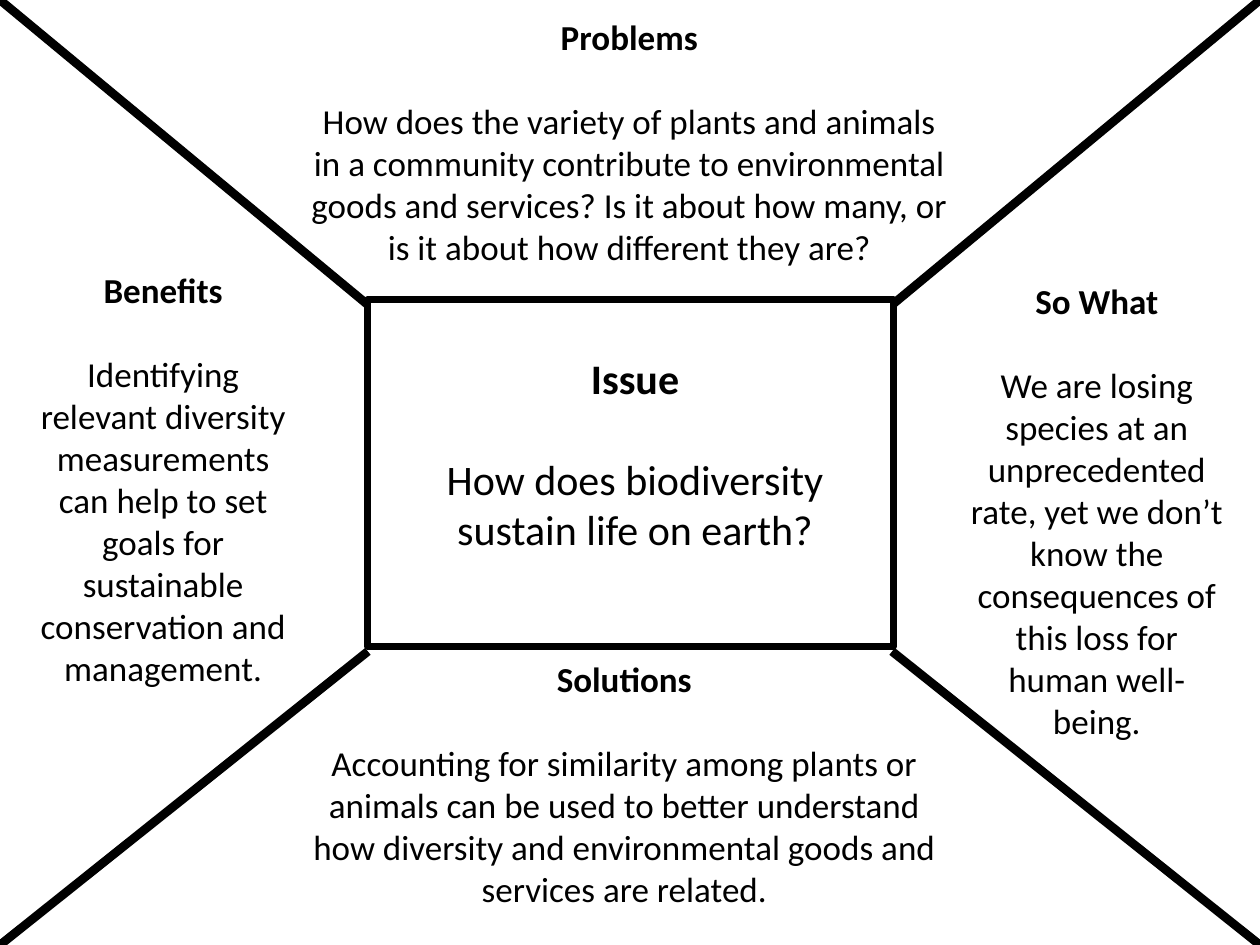
from lxml.etree import SubElement
from pptx import Presentation
from pptx.dml.color import RGBColor
from pptx.enum.shapes import MSO_CONNECTOR, MSO_SHAPE
from pptx.enum.text import MSO_AUTO_SIZE, PP_ALIGN
from pptx.oxml.ns import qn
from pptx.util import Inches, Pt

WIDTH, HEIGHT = 10, 7.5
FONT, BLACK, WHITE = "Calibri", "000000", "FFFFFF"

# Content: heading, body, (left, top, width, height), text size
SECTIONS = [
    ("Issue", "How does biodiversity sustain life on earth?",
     (3.33, 2.75, 3.42, 1.72), 24),
    ("Problems", "How does the variety of plants and animals in a community "
     "contribute to environmental goods and services? Is it about how many, "
     "or is it about how different they are?",
     (2.33, 0.07, 5.33, 3.33), 20),
    ("So What", "We are losing species at an unprecedented rate, yet we don’t "
     "know the consequences of this loss for human well-being.",
     (7.58, 2.17, 2.25, 3.8), 20),
    ("Solutions", "Accounting for similarity among plants or animals can be "
     "used to better understand how diversity and environmental goods and "
     "services are related.",
     (2.33, 5.17, 5.25, 2.12), 20),
    ("Benefits", "Identifying relevant diversity measurements can help to set "
     "goals for sustainable conservation and management.",
     (0.17, 2.08, 2.25, 3.77), 20),
]
FRAME = (2.92, 2.38, 4.17, 2.75)
INNER_X, INNER_Y = (2.92, 7.08), (2.42, 5.17)  # inner ends of the diagonals


def color(value):
    return RGBColor.from_string(value)


def set_line(line, width):
    line.color.rgb = color(BLACK)
    line.width = Pt(width)


def add_paragraph(para, text, size=20, bold=False, space_before=0):
    para.alignment = PP_ALIGN.CENTER
    para.space_before = Pt(space_before)
    span = para.add_run()
    span.text = text
    span.font.name = FONT
    span.font.size = Pt(size)
    span.font.bold = bold
    span.font.color.rgb = color(BLACK)


deck = Presentation()
deck.slide_width, deck.slide_height = Inches(WIDTH), Inches(HEIGHT)
page = deck.slides.add_slide(deck.slide_layouts[6])
page.background.fill.solid()
page.background.fill.fore_color.rgb = color(WHITE)

# Central frame
frame = page.shapes.add_shape(MSO_SHAPE.RECTANGLE, *map(Inches, FRAME))
frame.shadow.inherit = False
frame.fill.background()
set_line(frame.line, 4)

# Diagonals from the frame to the page corners
for inner_y, corner_y in zip(INNER_Y, (0, HEIGHT)):
    for inner_x, corner_x in zip(INNER_X, (0, WIDTH)):
        diagonal = page.shapes.add_connector(
            MSO_CONNECTOR.STRAIGHT,
            *map(Inches, (inner_x, inner_y, corner_x, corner_y)))
        set_line(diagonal.line, 5)
        SubElement(diagonal.element.spPr, qn("a:effectLst"))

# Text sections, with one line of space below each heading
for heading, body, place, size in SECTIONS:
    box = page.shapes.add_textbox(*map(Inches, place))
    frame_text = box.text_frame
    frame_text.word_wrap = True
    frame_text.auto_size = MSO_AUTO_SIZE.SHAPE_TO_FIT_TEXT
    add_paragraph(frame_text.paragraphs[0], heading, size=size, bold=True)
    add_paragraph(frame_text.add_paragraph(), body, size=size,
                  space_before=1.2 * size)

deck.save("out.pptx")
